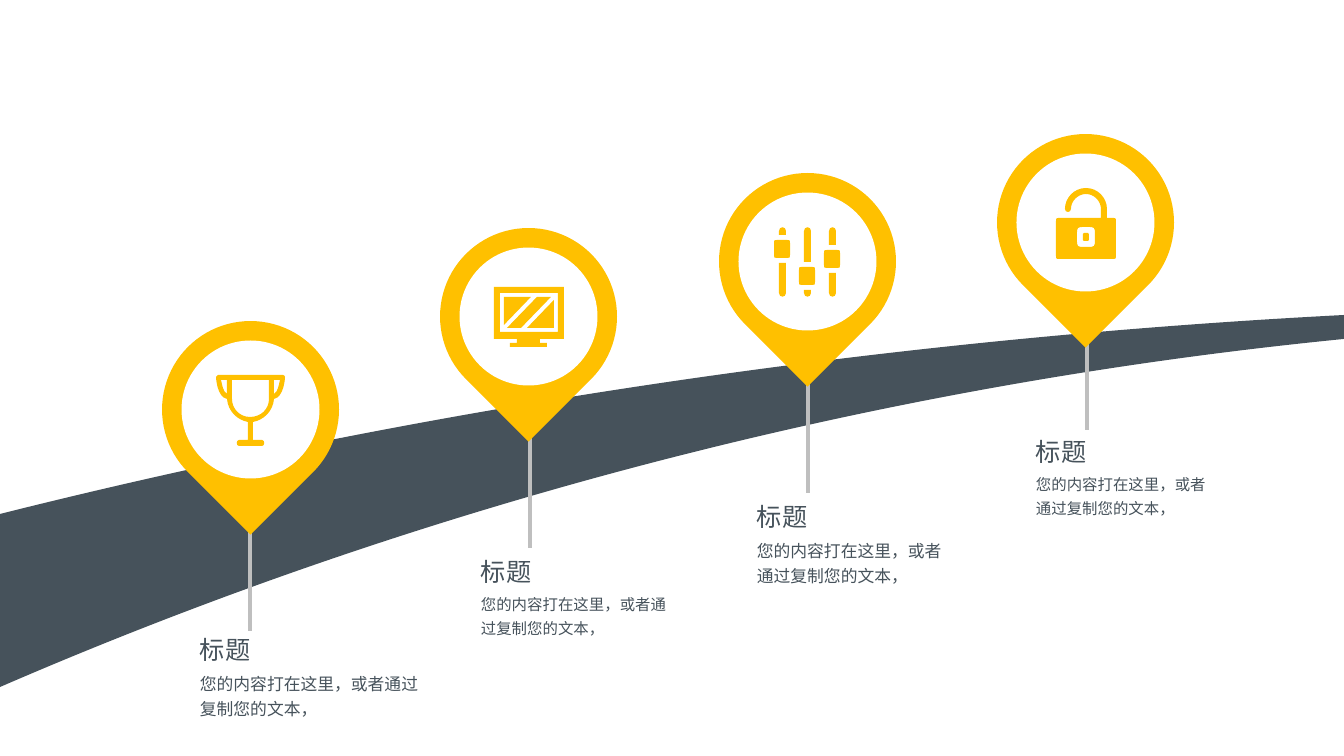
from lxml.etree import SubElement
from pptx import Presentation
from pptx.dml.color import RGBColor
from pptx.enum.shapes import MSO_CONNECTOR as Connector, MSO_SHAPE as Shape
from pptx.enum.text import MSO_AUTO_SIZE as AutoSize
from pptx.oxml.ns import qn
from pptx.util import Emu, Pt

SCALE = 914400 / 100.8  # EMU per px
FONT = "Noto Sans CJK SC"
SLATE, AMBER, GREY, WHITE = "46525B", "FFC000", "BFBFBF", "FFFFFF"
PIN, HOLE = 177, 138
STEM = 111

# Content: pin corner, stem top, label corner, body width and size
HEADING = "标题"
BODY = "您的内容打在这里，或者通过复制您的文本，"
STOPS = [
    {"pin": (162, 321), "stem": (250, 520), "label": (190, 629), "width": 242, "size": 12},
    {"pin": (440, 228), "stem": (530, 437), "label": (471, 551), "width": 212, "size": 11},
    {"pin": (719, 173), "stem": (808, 382), "label": (747, 496), "width": 212, "size": 12},
    {"pin": (997, 134), "stem": (1087, 319), "label": (1026, 431), "width": 193, "size": 11},
]

# Outlines: a pair is a straight step, six numbers are a Bézier step
ROAD = [[(0, 687), (420, 505, 878, 385, 1344, 339), (1344, 315),
         (882, 339, 426, 407, 0, 514)]]
TROPHY = [
    [(285, 377), (285, 376, 284, 375, 283, 375), (218, 375),
     (217, 375, 216, 376, 216, 377), (216, 378, 217, 397, 227, 399),
     (228, 411, 237, 420, 248, 422), (248, 440), (239, 440),
     (236, 440, 236, 446, 239, 446), (262, 446),
     (265, 446, 265, 440, 262, 440), (253, 440), (253, 422),
     (264, 420, 273, 411, 274, 399), (284, 397, 285, 378, 285, 377)],
    [(250, 417), (240, 417, 232, 409, 232, 399), (232, 380), (269, 380),
     (269, 399), (269, 409, 261, 417, 250, 417)],
    [(227, 394), (223, 392, 222, 384, 221, 380), (227, 380)],
    [(274, 394), (274, 380), (280, 380), (279, 384, 278, 392, 274, 394)],
]
MONITOR = [
    [(494, 287), (564, 287), (564, 339), (540, 339), (540, 343), (547, 343),
     (547, 347), (510, 347), (510, 343), (517, 343), (517, 339), (494, 339)],
    [(500, 293), (500, 332), (558, 332), (558, 293)],
    [(554, 300), (554, 328), (527, 328)],
    [(537, 297), (551, 297), (521, 328), (507, 328)],
    [(504, 297), (531, 297), (504, 325)],
]
SHACKLE = [(1086, 188), (1098, 188, 1107, 198, 1107, 209), (1107, 218),
           (1101, 218), (1101, 209), (1101, 201, 1094, 194, 1086, 194),
           (1078, 194, 1071, 201, 1071, 209), (1071, 213, 1065, 213, 1065, 209),
           (1065, 198, 1074, 188, 1086, 188)]
KNOB_TOPS = [240, 267, 250]


def rounded(left, top, width, height, radius):
    right, bottom = left + width, top + height
    return [(left + radius, top), (right - radius, top),
            (right, top, right, top, right, top + radius), (right, bottom - radius),
            (right, bottom, right, bottom, right - radius, bottom),
            (left + radius, bottom),
            (left, bottom, left, bottom, left, bottom - radius), (left, top + radius),
            (left, top, left, top, left + radius, top)]


def bar(left, flat, tip, bulge):
    """A slider bar: flat at one end, round at the other."""
    right = left + 7
    return [(left, flat), (left, tip), (left, tip + bulge, right, tip + bulge, right, tip),
            (right, flat)]


def sliders():
    contours = []
    for index, top in enumerate(KNOB_TOPS):
        left = 774 + 25 * index
        contours += [rounded(left, top, 16, 18, 3), bar(left + 5, top - 5, 231, -5),
                     bar(left + 5, top + 23, 293, 5)]
    return contours


LOCK = [SHACKLE, rounded(1056, 218, 60, 41, 4), rounded(1077, 227, 18, 20, 8),
        rounded(1083, 233, 6, 8, 1)]
ICONS = [TROPHY, MONITOR, sliders(), LOCK]


def px(value):
    return Emu(round(value * SCALE))


def color(value):
    return RGBColor.from_string(value)


def paint(shape, fill):
    shape.shadow.inherit = False
    shape.fill.solid()
    shape.fill.fore_color.rgb = color(fill)
    shape.line.fill.background()


def bend(shape, contours):
    """Make curves of the straight segments that stand for Bézier steps."""
    steps = [step for contour in contours for step in contour[1:]]
    segments = list(shape._element.iter(qn("a:lnTo")))
    for segment, step in zip(segments, steps):
        if len(step) == 2:
            continue
        segment.tag = qn("a:cubicBezTo")
        for index in (0, 1):
            x, y = step[2 * index:2 * index + 2]
            point = SubElement(segment, qn("a:pt"))
            point.set("x", str(px(x) - shape.left))
            point.set("y", str(px(y) - shape.top))
            segment.insert(index, point)


def add_outline(contours, fill):
    first, *others = [[(px(step[-2]), px(step[-1])) for step in contour]
                      for contour in contours]
    builder = slide.shapes.build_freeform(*first[0], scale=1.0)
    builder.add_line_segments(first[1:], close=True)
    for points in others:
        builder.move_to(*points[0])
        builder.add_line_segments(points[1:], close=True)
    shape = builder.convert_to_shape()
    bend(shape, contours)
    paint(shape, fill)


def add_preset(kind, left, top, size, fill):
    shape = slide.shapes.add_shape(kind, px(left), px(top), px(size), px(size))
    paint(shape, fill)
    return shape


def add_text(text, left, top, width, height, size, spacing):
    box = slide.shapes.add_textbox(px(left), px(top), px(width), px(height))
    frame = box.text_frame
    frame.word_wrap = True
    frame.auto_size = AutoSize.SHAPE_TO_FIT_TEXT
    paragraph = frame.paragraphs[0]
    paragraph.text = text
    paragraph.line_spacing = spacing
    font = paragraph.font
    font.name, font.size = FONT, Pt(size)
    font.color.rgb = color(SLATE)
    properties = paragraph._p.pPr.find(qn("a:defRPr"))
    SubElement(properties, qn("a:ea")).set("typeface", FONT)


presentation = Presentation()
presentation.slide_width, presentation.slide_height = px(1344), px(756)
slide = presentation.slides.add_slide(presentation.slide_layouts[6])

# Road
add_outline(ROAD, SLATE)

# Stems, pins, icons and labels
for stop, icon in zip(STOPS, ICONS):
    x, y = stop["stem"]
    stem = slide.shapes.add_connector(Connector.STRAIGHT, px(x), px(y), px(x), px(y + STEM))
    stem.line.color.rgb = color(GREY)
    stem.line.width = Pt(2.25)
    SubElement(stem._element.spPr, qn("a:effectLst"))

    left, top = stop["pin"]
    inset = (PIN - HOLE) / 2
    add_preset(Shape.TEAR, left, top, PIN, AMBER).rotation = 135
    add_preset(Shape.OVAL, left + inset, top + inset, HOLE, WHITE)
    add_outline(icon, AMBER)

    left, top = stop["label"]
    add_text(BODY, left, top + 35, stop["width"], 60, stop["size"], 1.25)
    add_text(HEADING, left, top, 128, 40, 18, 1.0)

presentation.save("out.pptx")
